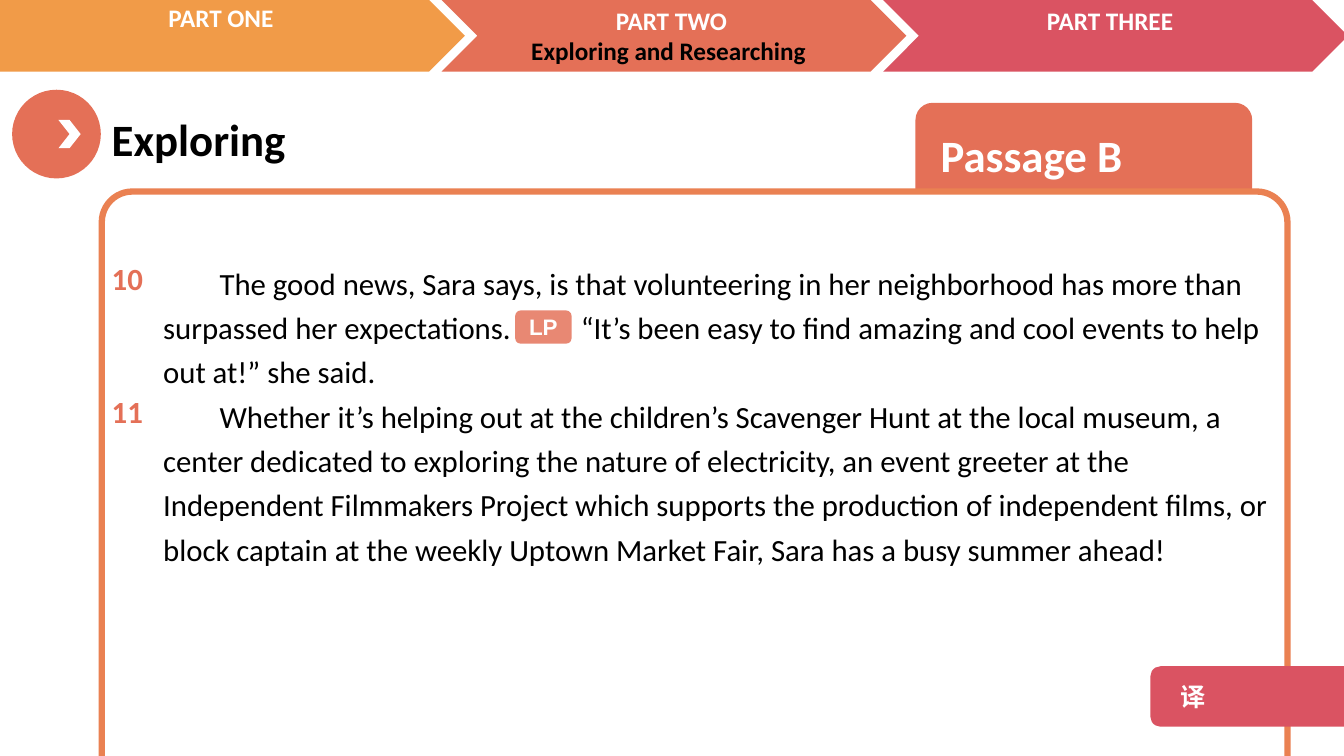
from lxml import etree
from pptx import Presentation
from pptx.dml.color import RGBColor
from pptx.enum.shapes import MSO_SHAPE
from pptx.enum.text import MSO_ANCHOR, PP_ALIGN
from pptx.oxml.ns import qn
from pptx.util import Inches, Pt

CHEVRON, OVAL, ROUNDED = MSO_SHAPE.CHEVRON, MSO_SHAPE.OVAL, MSO_SHAPE.ROUNDED_RECTANGLE
LEFT, CENTER = PP_ALIGN.LEFT, PP_ALIGN.CENTER
TOP, MIDDLE = MSO_ANCHOR.TOP, MSO_ANCHOR.MIDDLE

CORAL = RGBColor(0xE4, 0x70, 0x57)
ROSE = RGBColor(0xDA, 0x53, 0x62)
AMBER = RGBColor(0xF1, 0x9B, 0x48)
ORANGE = RGBColor(0xEA, 0x81, 0x52)
WHITE = RGBColor(0xFF, 0xFF, 0xFF)
BLACK = RGBColor(0, 0, 0)

# Content: label lines with their colours, label box, fill of each part
PARTS = [
    ([("PART ONE ", WHITE)], (-0.06, -0.03, 4.56, 0.4), AMBER),
    ([("PART TWO", WHITE), ("Exploring and Researching ", BLACK)], (4.38, 0, 4.56, 0.71), CORAL),
    ([("PART THREE", WHITE)], (8.73, 0, 4.56, 0.4), ROSE),
]
HEADING = "Exploring"
TAB_LABEL = "Passage B"
BADGE_SPACE = " "
# Paragraph number, text in runs, number of lines it takes
PASSAGE = [
    ("10", ["The good news, Sara says, is that volunteering in her neighborhood has more than "
            "surpassed her expectations.",
            BADGE_SPACE,
            "“It’s been easy to find amazing and cool events to help out at!” she said."], 3),
    ("11", ["Whether it’s helping out at the children’s Scavenger Hunt at the local museum, a "
            "center dedicated to exploring the nature of electricity, an event greeter at the "
            "Independent Filmmakers Project which supports the production of independent films, "
            "or block captain at the weekly Uptown Market Fair, Sara has a busy summer ahead!"], 4),
]
LANGUAGE_POINT = "LP"
TRANSLATE = "译"

PART_PITCH, PART_WIDTH, BAR_HEIGHT = 4.38, 4.61, 0.71
FIRST_OVERHANG = 0.61
FRAME_LEFT = 1.01
BODY_LEFT, BODY_TOP, BODY_WIDTH, BODY_HEIGHT = 1.52, 2.5, 11.25, 3.19
LINE_PITCH, LINE_SPACING = 0.44, 1.2
FIRST_INDENT = 0.56
BADGE_TRACKING = 45  # points added to the space that makes room for the badge

prs = Presentation()
prs.slide_width, prs.slide_height = Inches(13.33), Inches(7.5)
s = prs.slides.add_slide(prs.slide_layouts[6])


def add_preset(kind, box, fill, line=None, corner=None, alpha=None):
    sp = s.shapes.add_shape(kind, *map(Inches, box))
    sp.shadow.inherit = False
    sp.fill.solid()
    sp.fill.fore_color.rgb = fill
    if line:
        sp.line.color.rgb, sp.line.width = line, Pt(4.5)
    else:
        sp.line.fill.background()
    if corner is not None:
        sp.adjustments[0] = corner
    if alpha:
        color = sp.fill._xPr.find(".//" + qn("a:srgbClr"))
        etree.SubElement(color, qn("a:alpha")).set("val", str(alpha * 1000))
    return sp


def add_run(p, text, color, size, font, bold):
    r = p.add_run()
    r.text = text
    for name, value in {"name": font, "size": Pt(size), "bold": bold}.items():
        setattr(r.font, name, value)
    r.font.color.rgb = color
    etree.SubElement(r.font._element, qn("a:ea")).set("typeface", font)
    if text == BADGE_SPACE:
        r.font._element.set("spc", str(BADGE_TRACKING * 100))


def write(sp, lines, size, font="Calibri", bold=True, align=LEFT, anchor=TOP,
          margin=0.1, spacing=None):
    """Fill a shape with (text or list of run texts, colour) paragraphs and return them."""
    tf = sp.text_frame
    tf.word_wrap, tf.vertical_anchor, tf.margin_left = True, anchor, Inches(margin)
    for i, (texts, color) in enumerate(lines):
        p = tf.add_paragraph() if i else tf.paragraphs[0]
        p.alignment, p.line_spacing = align, spacing
        for text in [texts] if isinstance(texts, str) else texts:
            add_run(p, text, color, size, font, bold)
    return tf.paragraphs


def add_text(box, lines, size, **style):
    return write(s.shapes.add_textbox(*map(Inches, box)), lines, size, **style)


# Navigation bar
for i, (lines, label_box, fill) in enumerate(PARTS):
    overhang = 0 if i else FIRST_OVERHANG
    add_preset(CHEVRON, (i * PART_PITCH - overhang, 0, PART_WIDTH + overhang, BAR_HEIGHT), fill)
for lines, label_box, fill in PARTS:
    add_text(label_box, lines, 18, align=CENTER)

# Heading and passage frame
add_preset(OVAL, (0.12, 0.89, 0.88, 0.88), CORAL)
add_preset(CHEVRON, (0.58, 1.19, 0.22, 0.28), WHITE)
add_text((FRAME_LEFT, 1.06, 4.85, 0.64), [(HEADING, BLACK)], 32)
passage_tab = add_preset(ROUNDED, (9.08, 1.02, 3.34, 1.02), CORAL)
write(passage_tab, [(TAB_LABEL, WHITE)], 32, anchor=MIDDLE, margin=0.2)
add_preset(ROUNDED, (FRAME_LEFT, 1.9, 11.76, 6.45), WHITE, line=ORANGE, corner=0.047)

# Passage with its paragraph numbers
body = add_text((BODY_LEFT, BODY_TOP, BODY_WIDTH, BODY_HEIGHT),
                [(texts, BLACK) for _, texts, _ in PASSAGE], 22, bold=False, spacing=LINE_SPACING)
for p in body:
    pPr = p._p.get_or_add_pPr()
    pPr.set("marL", "0")
    pPr.set("indent", str(Inches(FIRST_INDENT)))

number_top = BODY_TOP - 0.05
for number, _, line_count in PASSAGE:
    add_text((FRAME_LEFT, number_top, BODY_LEFT - FRAME_LEFT, 0.54), [(number, CORAL)], 22,
             spacing=LINE_SPACING)
    number_top += line_count * LINE_PITCH

# Buttons
translate = add_preset(ROUNDED, (11.41, 6.61, 2.13, 0.6), ROSE)
write(translate, [(TRANSLATE, WHITE)], 18, font="Noto Sans CJK SC", anchor=MIDDLE, margin=0.27)
language_point = add_preset(ROUNDED, (5.11, 3.08, 0.56, 0.33), CORAL, alpha=83)
write(language_point, [(LANGUAGE_POINT, WHITE)], 16, font="Arial", align=CENTER, anchor=MIDDLE)

prs.save("out.pptx")
